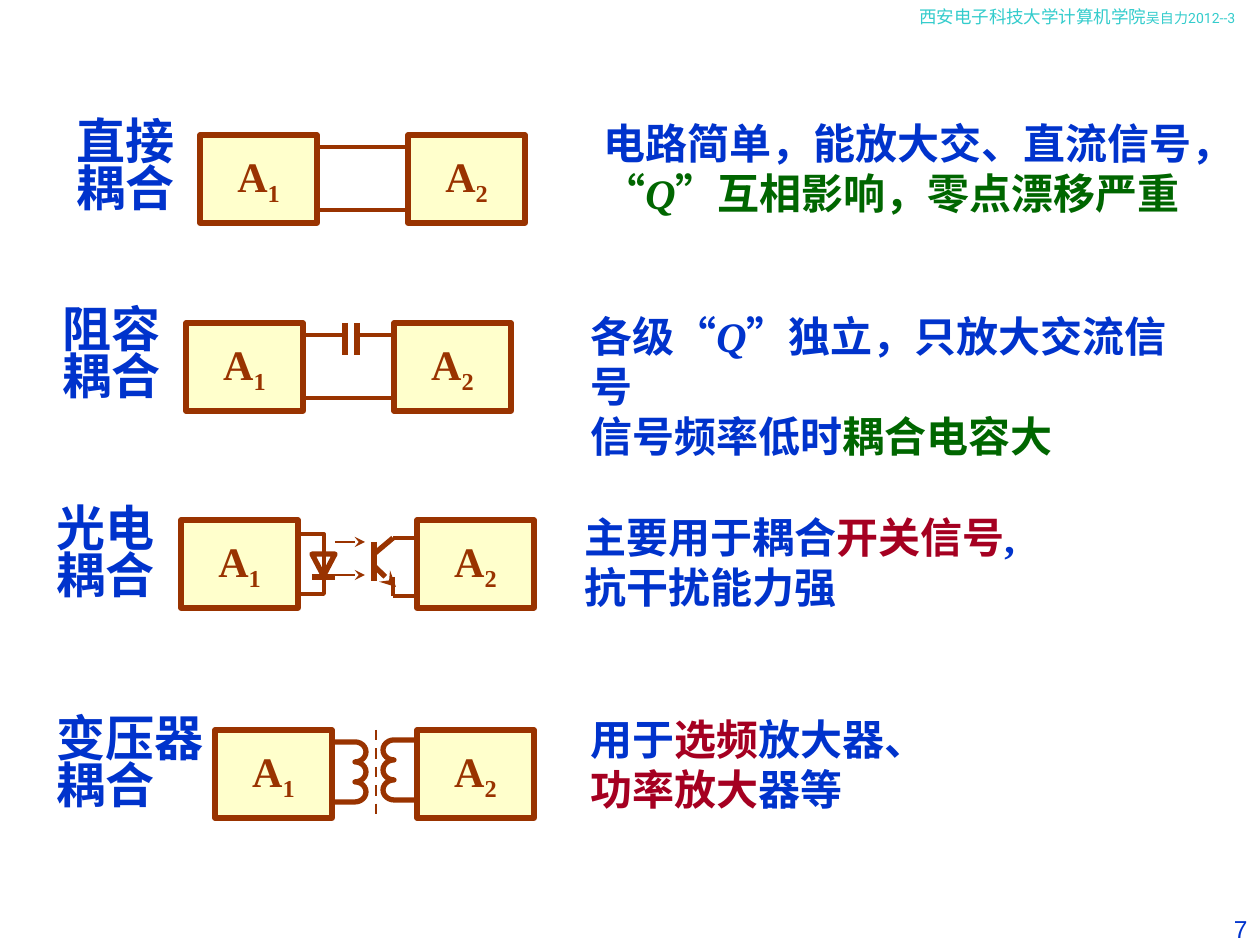
"""Build a slide comparing four ways of coupling amplifier stages."""
import dataclasses
import math

import lxml.etree
import pptx
import pptx.dml.color
import pptx.enum.dml
import pptx.enum.lang
import pptx.enum.shapes
import pptx.enum.text
import pptx.oxml.ns
import pptx.util

PX = 914400 // 126


@dataclasses.dataclass(frozen=True)
class Theme:
    blue: str = "0033CC"
    green: str = "006600"
    red: str = "A50021"
    brown: str = "993300"
    cream: str = "FFFFCC"
    teal: str = "33CCCC"
    serif: str = "Times New Roman"
    sans: str = "Arial"
    header: str = "Roboto"
    label: int = 28
    body: int = 24
    number: int = 14
    source: int = 10
    author: int = 8
    thick: float = 3
    medium: float = 2.25
    thin: float = 1.5


theme = Theme()
shapes_enum = pptx.enum.shapes.MSO_SHAPE
align = pptx.enum.text.PP_ALIGN
qn = pptx.oxml.ns.qn
rgb = pptx.dml.color.RGBColor.from_string

deck = pptx.Presentation()
deck.slide_width = 1260 * PX
deck.slide_height = 945 * PX
page = deck.slides.add_slide(deck.slide_layouts[6])


def write(box, paragraphs, size, font, bold=True, spacing=None, alignment=None):
    """Fill a box with paragraphs made of (text, colour, extra settings) spans."""
    frame = box.text_frame
    for index, spans in enumerate(paragraphs):
        para = frame.paragraphs[0] if index == 0 else frame.add_paragraph()
        para.line_spacing = spacing
        para.alignment = alignment
        for text, colour, extra in spans:
            span = para.add_run()
            span.text = text
            span.font.name = font
            span.font.size = pptx.util.Pt(extra.get("size", size))
            span.font.bold = bold
            span.font.italic = extra.get("italic")
            span.font.language_id = pptx.enum.lang.MSO_LANGUAGE_ID.SIMPLIFIED_CHINESE
            span.font.color.rgb = rgb(colour)
            if "baseline" in extra:
                span.font._element.set("baseline", extra["baseline"])


def draw_line(x1, y1, x2, y2, width, arrow=False, dash=False):
    """Draw a straight wire, optionally dashed or with an arrowhead."""
    wire = page.shapes.add_connector(
        pptx.enum.shapes.MSO_CONNECTOR.STRAIGHT, x1 * PX, y1 * PX, x2 * PX, y2 * PX
    )
    wire.line.color.rgb = rgb(theme.brown)
    wire.line.width = pptx.util.Pt(width)
    if dash:
        wire.line.dash_style = pptx.enum.dml.MSO_LINE.DASH
    if arrow:
        lxml.etree.SubElement(wire.line._get_or_add_ln(), qn("a:tailEnd"), type="stealth")
    lxml.etree.SubElement(wire._element.spPr, qn("a:effectLst"))


blue, green, red = theme.blue, theme.green, theme.red
slanted = {"italic": True}
labels = [
    (64, 116, 217, ["直接", "耦合"]),
    (50, 304, 173, ["阻容", "耦合"]),
    (44, 503, 174, ["光电", "耦合"]),
    (44, 713, 247, ["变压器", "耦合"]),
]
descriptions = [
    (591, 111, 669, 113, [
        [("电路简单，能放大交、直流信号，", blue, {})],
        [("“", green, {}), ("Q", green, slanted), ("”互相影响，零点漂移严重", green, {})],
    ]),
    (578, 304, 638, 164, [
        [("各级“", blue, {}), ("Q", blue, slanted), ("”独立，只放大交流信号", blue, {})],
        [("信号频率低时", blue, {}), ("耦合电容大", green, {})],
    ]),
    (572, 505, 638, 113, [
        [("主要用于耦合", blue, {}), ("开关信号", red, {}), (",", blue, {})],
        [("抗干扰能力强", blue, {})],
    ]),
    (578, 707, 438, 113, [
        [("用于", blue, {}), ("选频", red, {}), ("放大器、", blue, {})],
        [("功率放大", red, {}), ("器等", blue, {})],
    ]),
]

for left, top, width, lines in labels:
    box = page.shapes.add_textbox(left * PX, top * PX, width * PX, 107 * PX)
    box.text_frame.word_wrap = True
    write(box, [[(line, blue, {})] for line in lines], theme.label, theme.serif, spacing=0.8)

for left, top, width, height, paragraphs in descriptions:
    box = page.shapes.add_textbox(left * PX, top * PX, width * PX, height * PX)
    box.text_frame.word_wrap = True
    write(box, paragraphs, theme.body, theme.serif)

diode_loop = page.shapes.add_shape(shapes_enum.RECTANGLE, 271 * PX, 534 * PX, 53 * PX, 60 * PX)
diode = page.shapes.add_shape(
    shapes_enum.ISOSCELES_TRIANGLE, 312 * PX, 554 * PX, 23 * PX, 22 * PX
)
diode.rotation = 180
for outline, width in [(diode_loop, theme.medium), (diode, theme.thick)]:
    outline.shadow.inherit = False
    outline.fill.background()
    outline.line.color.rgb = rgb(theme.brown)
    outline.line.width = pptx.util.Pt(width)

for top, first, second in [(135, 200, 408), (323, 186, 394), (520, 181, 417), (730, 215, 417)]:
    for left, digit in [(first, "1"), (second, "2")]:
        stage = page.shapes.add_shape(
            shapes_enum.RECTANGLE, left * PX, top * PX, 117 * PX, 88 * PX
        )
        stage.shadow.inherit = False
        stage.fill.solid()
        stage.fill.fore_color.rgb = rgb(theme.cream)
        stage.line.color.rgb = rgb(theme.brown)
        stage.line.width = pptx.util.Pt(theme.thick)
        stage.text_frame.word_wrap = False
        stage.text_frame.vertical_anchor = pptx.enum.text.MSO_ANCHOR.MIDDLE
        name = [("A", theme.brown, {}), (digit, theme.brown, {"baseline": "-25000"})]
        write(stage, [name], theme.body, theme.serif, alignment=align.CENTER)

wires = {
    theme.medium: [
        (317, 147, 408, 147), (317, 210, 408, 210),
        (303, 335, 345, 335), (354, 335, 394, 335), (303, 398, 394, 398),
        (393, 538, 417, 538), (393, 596, 417, 596), (393, 577, 393, 596),
    ],
    theme.thick: [
        (345, 323, 345, 355), (357, 323, 357, 355),
        (312, 577, 335, 577), (374, 542, 374, 581), (393, 538, 374, 554),
    ],
}
for width, ends in wires.items():
    for end in ends:
        draw_line(*end, width)
draw_line(374, 566, 396, 587, theme.thick, arrow=True)
for y in (542, 575):
    draw_line(335, y, 365, y, theme.thin, arrow=True)
draw_line(376, 730, 376, 818, theme.thin, dash=True)

for lead, inner, top, bulge in [(332, 355, 742, 11), (417, 394, 740, -11)]:
    points = []
    for turn in range(3):
        for step in range(13):
            angle = math.pi * step / 12
            x = inner + bulge * math.sin(angle)
            y = top + 20 * turn + 10 * (1 - math.cos(angle))
            points.append((round(x * PX), round(y * PX)))
    points.append((lead * PX, (top + 60) * PX))
    builder = page.shapes.build_freeform(lead * PX, top * PX)
    builder.add_line_segments(points, close=False)
    coil = builder.convert_to_shape()
    coil.shadow.inherit = False
    coil.fill.background()
    coil.line.color.rgb = rgb(theme.brown)
    coil.line.width = pptx.util.Pt(theme.thick)

header = page.shapes.add_textbox(907 * PX, 0, 353 * PX, 34 * PX)
header.text_frame.word_wrap = True
credit = [
    ("西安电子科技大学计算机学院", theme.teal, {}),
    ("吴自力2012--3", theme.teal, {"size": theme.author}),
]
write(header, [credit], theme.source, theme.header, bold=False)

number = page.shapes.add_textbox(1196 * PX, 908 * PX, 64 * PX, 35 * PX)
number.text_frame.word_wrap = True
write(number, [[("7", blue, {})]], theme.number, theme.sans, bold=False, alignment=align.RIGHT)

deck.save("out.pptx")
